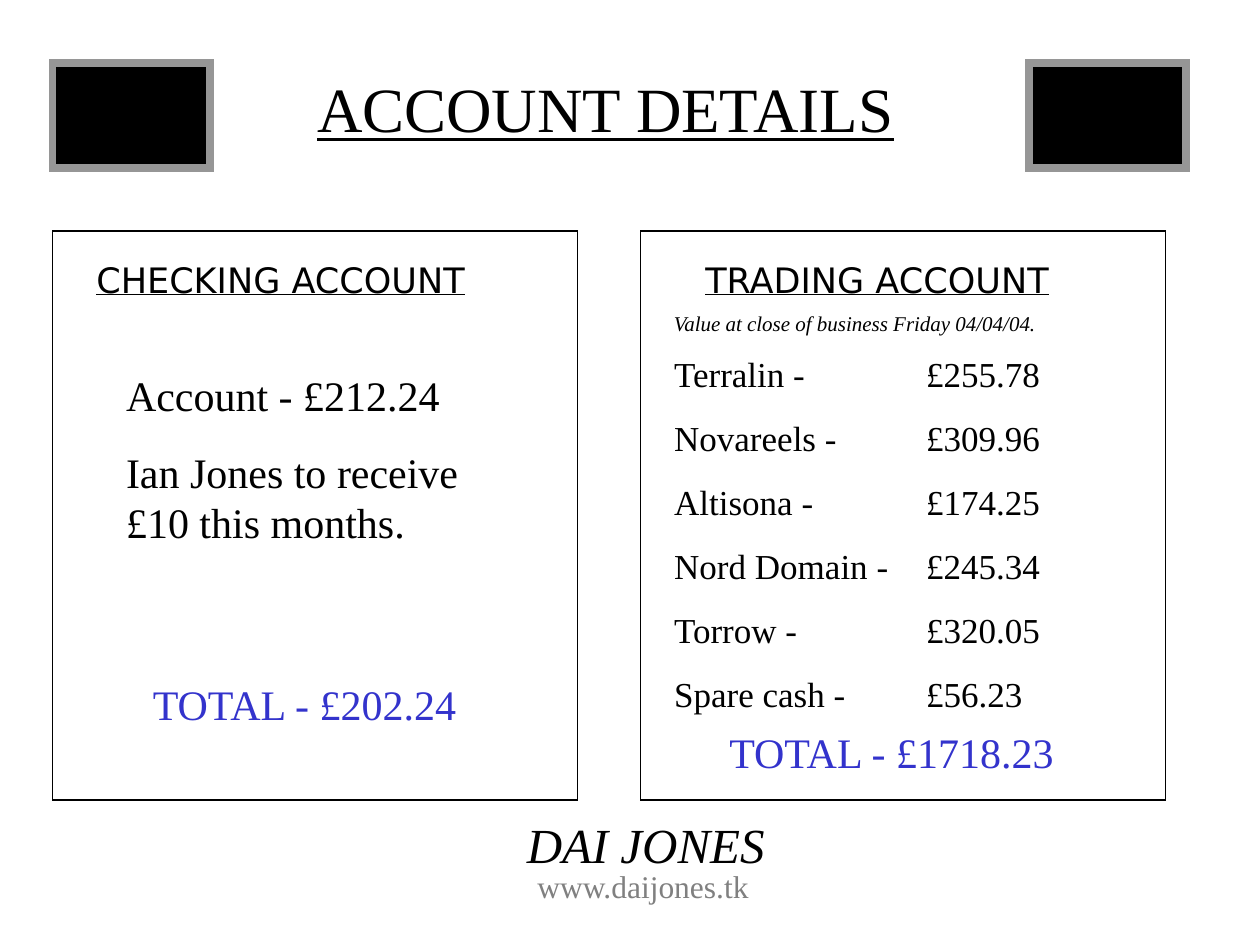
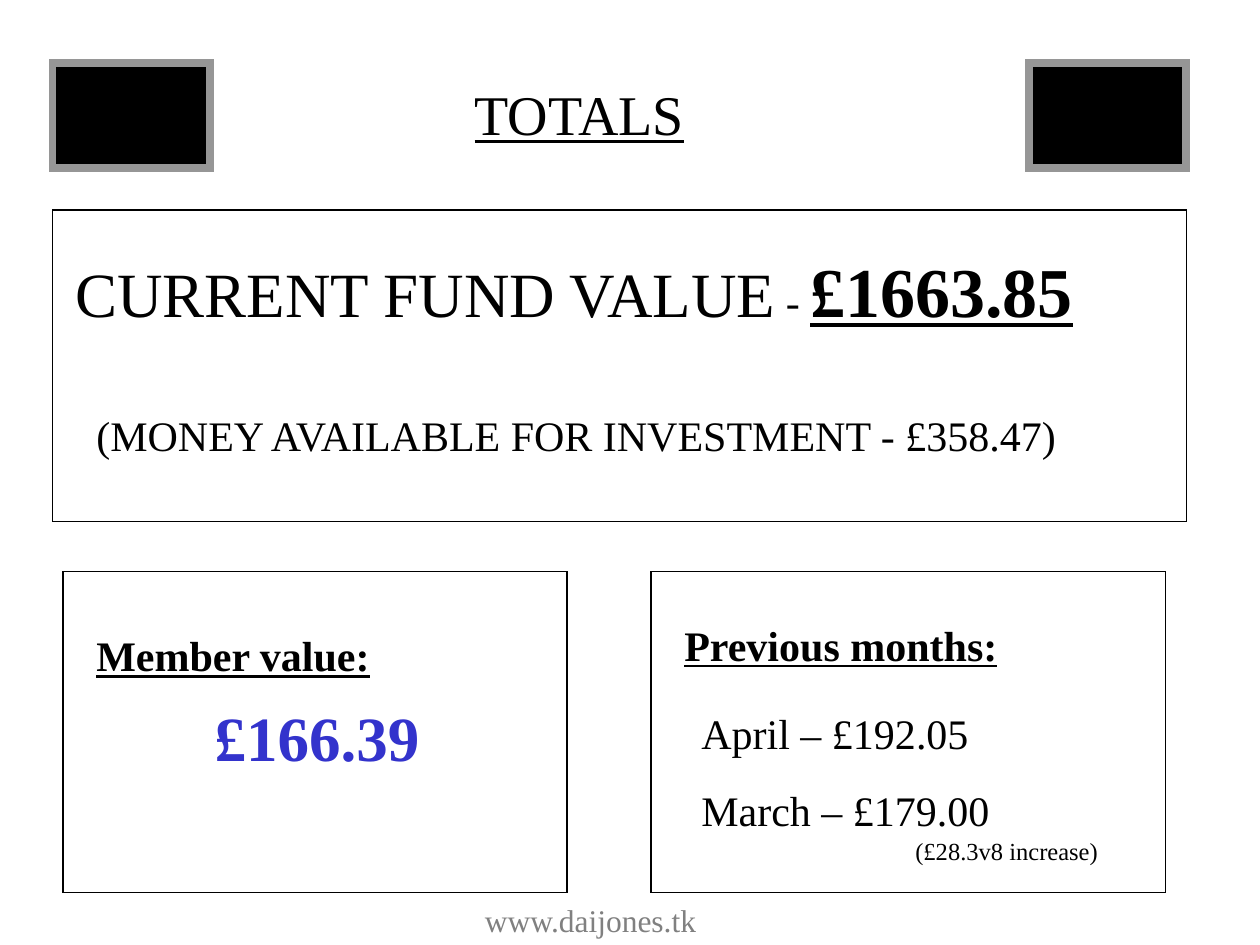
import pptx
import pptx.dml.color
import pptx.enum.shapes
import pptx.enum.text
import pptx.util
import lxml.etree

PX = 7620
BLACK = pptx.dml.color.RGBColor(0x00, 0x00, 0x00)
BLUE = pptx.dml.color.RGBColor(0x33, 0x33, 0xCC)
GREY = pptx.dml.color.RGBColor(0x80, 0x80, 0x80)
SILVER = pptx.dml.color.RGBColor(0x96, 0x96, 0x96)
SERIF = "Times New Roman"
SANS = "DejaVu Sans"
LEFT = pptx.enum.text.PP_ALIGN.LEFT
CENTER = pptx.enum.text.PP_ALIGN.CENTER
LINE_HEIGHT = 1.2
PARAGRAPH_GAP = 0.625
TAB_SIZE = 240
HOLDINGS = [
    ("Terralin", "£255.78"),
    ("Novareels", "£309.96"),
    ("Altisona", "£174.25"),
    ("Nord Domain", "£245.34"),
    ("Torrow", "£320.05"),
    ("Spare cash", "£56.23"),
]


def emu(lengths):
    return [pptx.util.Emu(length * PX) for length in lengths]


def inside(box, left, top, width, height):
    return box[0] + left, box[1] + top, width, height


def style_span(span, size, font=SERIF, color=BLACK, bold=False, italic=False, underline=False):
    span.font.size = pptx.util.Pt(size)
    span.font.name = font
    span.font.color.rgb = color
    span.font.bold = bold
    span.font.italic = italic
    span.font.underline = underline


def fill_text(shape, lines, size, align=LEFT, gap=0, **look):
    frame = shape.text_frame
    frame.text = "\n".join(lines)
    frame.word_wrap = True
    frame.auto_size = pptx.enum.text.MSO_AUTO_SIZE.NONE
    frame.vertical_anchor = pptx.enum.text.MSO_ANCHOR.TOP
    for index, para in enumerate(frame.paragraphs):
        para.alignment = align
        para.line_spacing = pptx.util.Pt(size * LINE_HEIGHT)
        para.space_before = pptx.util.Pt(size * gap if index else 0)
        for span in para.runs:
            style_span(span, size, **look)


def add_text(page, box, text, size, **look):
    shape = page.shapes.add_textbox(*emu(box))
    fill_text(shape, [text], size, **look)
    return shape


def place(placeholder, box):
    placeholder.left, placeholder.top, placeholder.width, placeholder.height = emu(box)


def set_title(page, box, text, size):
    place(page.shapes.title, box)
    fill_text(page.shapes.title, [text], size, underline=True)


def set_list(placeholder, box, lines, size):
    place(placeholder, box)
    fill_text(placeholder, lines, size, gap=PARAGRAPH_GAP)
    for para in placeholder.text_frame.paragraphs:
        properties = para._p.get_or_add_pPr()
        properties.set("marL", "0")
        properties.set("indent", "0")
        properties.set("defTabSz", str(TAB_SIZE * PX))
        lxml.etree.SubElement(properties, f"{{{properties.nsmap['a']}}}buNone")


def add_rectangle(page, box, line_color, line_width):
    shape = page.shapes.add_shape(pptx.enum.shapes.MSO_SHAPE.RECTANGLE, *emu(box))
    shape.shadow.inherit = False
    shape.fill.background()
    shape.line.color.rgb = line_color
    shape.line.width = pptx.util.Pt(line_width)
    outline = shape._element.spPr.ln
    lxml.etree.SubElement(outline, f"{{{outline.nsmap['a']}}}miter", lim="800000")
    return shape


def add_frame(page, box):
    add_rectangle(page, box, BLACK, 0.75)


def add_corner_block(page, box):
    block = add_rectangle(page, box, SILVER, 4.5)
    block.fill.solid()
    block.fill.fore_color.rgb = BLACK


def add_page(deck, layout, title, title_box, title_size, address_corner):
    page = deck.slides.add_slide(deck.slide_layouts.get_by_name(layout))
    set_title(page, title_box, title, title_size)
    for left in (50, 980):
        add_corner_block(page, (left, 60, 150, 100))
    add_text(page, (*address_corner, 250, 48), "www.daijones.tk", 18, color=GREY)
    return page


def add_checking_account(page, box):
    add_frame(page, box)
    add_text(page, inside(box, 30, 20, 410, 53), "CHECKING ACCOUNT", 20, font=SANS, underline=True)
    lines = ["Account - £212.24", "Ian Jones to receive £10 this months."]
    set_list(page.placeholders[1], inside(box, 58, 126, 388, 181), lines, 24)
    add_text(page, inside(box, 10, 420, 460, 60), "TOTAL - £202.24", 24, align=CENTER, color=BLUE)


def add_trading_account(page, box):
    add_frame(page, box)
    add_text(page, inside(box, 50, 20, 410, 53), "TRADING ACCOUNT", 20, font=SANS, underline=True)
    add_text(page, inside(box, 20, 70, 430, 36),
             "Value at close of business Friday 04/04/04.", 12, italic=True)
    lines = [f"{name} - \t{value}" for name, value in HOLDINGS]
    set_list(page.placeholders[2], inside(box, 20, 110, 400, 356), lines, 20)
    add_text(page, inside(box, 9, 466, 460, 60), "TOTAL - £1718.23", 24, align=CENTER, color=BLUE)


def add_fund_value(page, box):
    add_frame(page, box)
    fund = add_text(page, inside(box, 10, 30, 1070, 92), "CURRENT FUND VALUE", 36)
    para = fund.text_frame.paragraphs[0]
    para.line_spacing = pptx.util.Pt(40 * LINE_HEIGHT)
    for text, size, strong in ((" - ", 24, False), ("£1663.85", 40, True)):
        span = para.add_run()
        span.text = text
        style_span(span, size, bold=strong, underline=strong)
    add_text(page, inside(box, 30, 184, 1039, 60), "(MONEY AVAILABLE FOR INVESTMENT - £358.47)", 24)


def add_member_value(page, box):
    add_frame(page, box)
    add_text(page, inside(box, 20, 50, 370, 60), "Member value:", 24, bold=True, underline=True)
    add_text(page, inside(box, 67, 115, 350, 84), "£166.39", 36, align=CENTER, color=BLUE, bold=True)


def add_previous_months(page, box):
    add_frame(page, box)
    add_text(page, inside(box, 20, 40, 430, 60), "Previous months:", 24, bold=True, underline=True)
    set_list(page.placeholders[1], inside(box, 36, 124, 444, 133),
             ["April – £192.05", "March – £179.00"], 24)
    add_text(page, inside(box, 240, 246, 250, 41), "(£28.3v8 increase)", 14)


def build_account_details(deck):
    page = add_page(deck, "Two Content", "ACCOUNT DETAILS", (290, 60, 620, 84), 36, (500, 820))
    add_checking_account(page, (50, 220, 500, 542))
    add_trading_account(page, (610, 220, 500, 542))
    add_text(page, (230, 770, 770, 68), "DAI JONES", 28, align=CENTER, italic=True)


def build_totals(deck):
    page = add_page(deck, "Title and Content", "TOTALS", (440, 70, 260, 77), 32, (450, 852))
    add_fund_value(page, (50, 200, 1080, 297))
    add_member_value(page, (60, 544, 480, 306))
    add_previous_months(page, (620, 544, 490, 306))


def main():
    deck = pptx.Presentation()
    deck.slide_width, deck.slide_height = emu((1200, 900))
    build_account_details(deck)
    build_totals(deck)
    deck.save("out.pptx")


if __name__ == "__main__":
    main()
